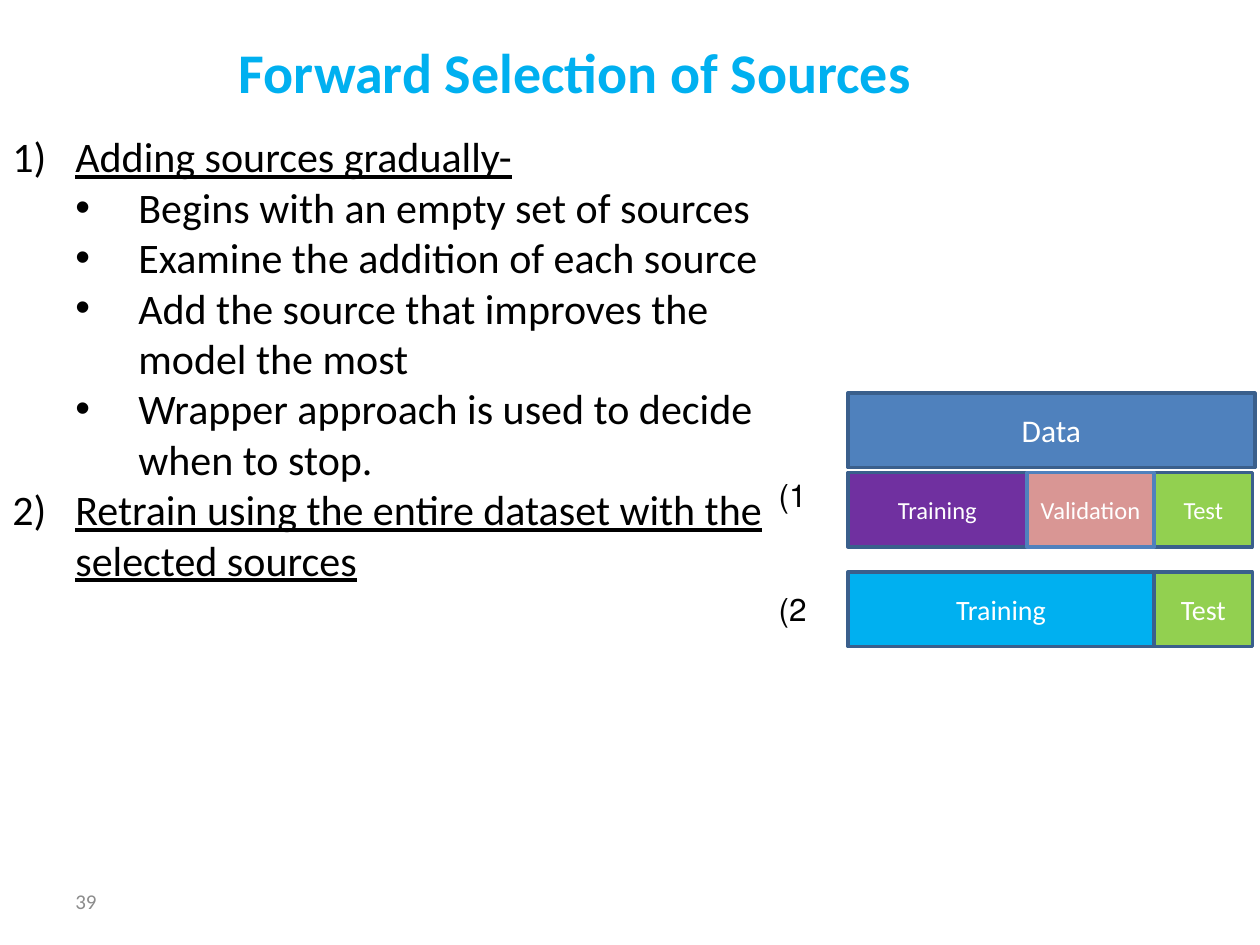
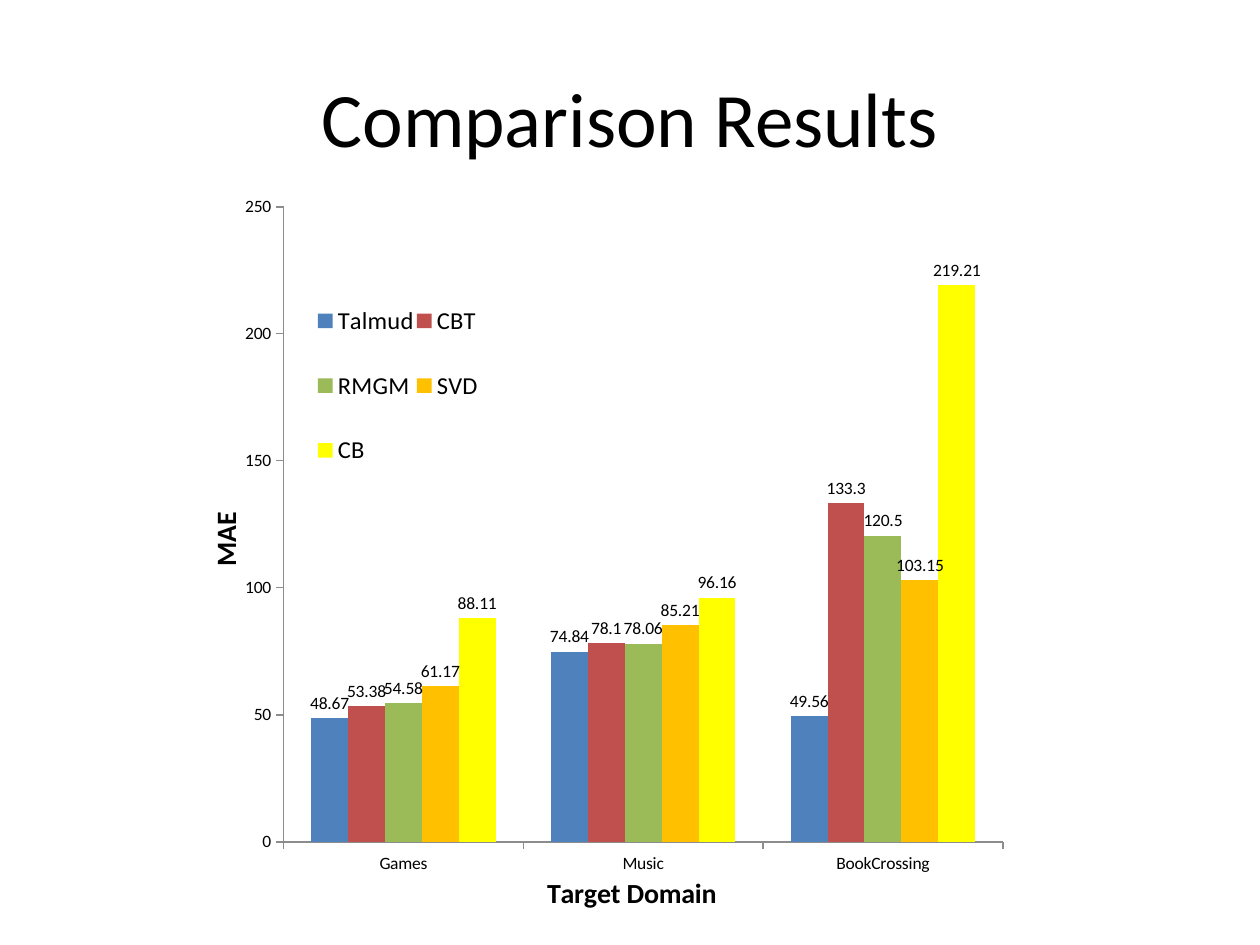
from lxml import etree
from pptx import Presentation
from pptx.chart.data import CategoryChartData
from pptx.dml.color import RGBColor
from pptx.enum.chart import XL_CHART_TYPE, XL_LABEL_POSITION, XL_LEGEND_POSITION, XL_TICK_MARK
from pptx.enum.shapes import MSO_SHAPE
from pptx.enum.text import MSO_ANCHOR, PP_ALIGN
from pptx.oxml.ns import qn
from pptx.util import Inches, Pt

COLUMNS = XL_CHART_TYPE.COLUMN_CLUSTERED
OUTSIDE_END = XL_LABEL_POSITION.OUTSIDE_END
LEGEND_LEFT = XL_LEGEND_POSITION.LEFT
TICK_OUT = XL_TICK_MARK.OUTSIDE
RECTANGLE = MSO_SHAPE.RECTANGLE
TOP, MIDDLE = MSO_ANCHOR.TOP, MSO_ANCHOR.MIDDLE
LEFT, CENTER, RIGHT = PP_ALIGN.LEFT, PP_ALIGN.CENTER, PP_ALIGN.RIGHT

FONT = "Calibri"
BLACK = RGBColor(0x00, 0x00, 0x00)
WHITE = RGBColor(0xFF, 0xFF, 0xFF)
GRAY = RGBColor(0x8C, 0x8C, 0x8C)
SKY = RGBColor(0x00, 0xB0, 0xF0)
BLUE = RGBColor(0x4F, 0x81, 0xBD)
NAVY = RGBColor(0x3A, 0x5F, 0x8C)
PURPLE = RGBColor(0x70, 0x30, 0xA0)
LIME = RGBColor(0x92, 0xD0, 0x50)
PINK = RGBColor(0xD9, 0x96, 0x94)
RED = RGBColor(0xC0, 0x50, 0x4D)
OLIVE = RGBColor(0x9B, 0xBB, 0x59)
AMBER = RGBColor(0xFF, 0xC0, 0x00)
YELLOW = RGBColor(0xFF, 0xFF, 0x00)

SPLIT_EDGES = (6.73, 8.15, 9.16, 9.94)
BAR_HEIGHT = 0.59
SELECTION_STEPS = (
    (0, "Adding sources gradually-"),
    (1, "Begins with an empty set of sources"),
    (1, "Examine the addition of each source"),
    (1, "Add the source that improves the model the most"),
    (1, "Wrapper approach is used to decide when to stop."),
    (0, "Retrain using the entire dataset with the selected sources"),
)
DOMAINS = ("Games", "Music", "BookCrossing")
METHODS = (
    ("Talmud", (48.67, 74.84, 49.56), BLUE),
    ("CBT", (53.38, 78.1, 133.3), RED),
    ("RMGM", (54.58, 78.06, 120.5), OLIVE),
    ("SVD", (61.17, 85.21, 103.15), AMBER),
    ("CB", (88.11, 96.16, 219.21), YELLOW),
)


def inches(box):
    return [Inches(length) for length in box]


def style_font(font, size, color, bold=False):
    font.name = FONT
    font.size = Pt(size)
    font.color.rgb = color
    font.bold = bold


def add_text(slide, box, lines, size, color, align=LEFT, anchor=MIDDLE, bold=False):
    frame = slide.shapes.add_textbox(*inches(box)).text_frame
    frame.word_wrap = True
    frame.vertical_anchor = anchor
    frame.text = "\n".join(lines)
    for paragraph in frame.paragraphs:
        paragraph.alignment = align
        style_font(paragraph.font, size, color, bold)
    return frame


def add_steps(slide, box):
    frame = slide.shapes.add_textbox(*inches(box)).text_frame
    frame.word_wrap = True
    frame.text = "\n".join(text for _, text in SELECTION_STEPS)
    for paragraph, (level, _) in zip(frame.paragraphs, SELECTION_STEPS):
        paragraph.level = level
        properties = paragraph._p.get_or_add_pPr()
        properties.set("marL", str(Inches(0.5 * (level + 1))))
        properties.set("indent", str(Inches(-0.5)))
        if level:
            etree.SubElement(properties, qn("a:buFont")).set("typeface", "Arial")
            etree.SubElement(properties, qn("a:buChar")).set("char", "•")
        else:
            etree.SubElement(properties, qn("a:buAutoNum")).set("type", "arabicParenR")
        style_font(paragraph.font, 24, BLACK)
        paragraph.font.underline = level == 0


def add_part(slide, label, left, right, top, size, fill, line=NAVY):
    part = slide.shapes.add_shape(RECTANGLE, *inches((left, top, right - left, BAR_HEIGHT)))
    part.shadow.inherit = False
    part.fill.solid()
    part.fill.fore_color.rgb = fill
    part.line.color.rgb = line
    part.line.width = Pt(2)
    frame = part.text_frame
    frame.margin_left = frame.margin_right = 0
    frame.vertical_anchor = MIDDLE
    frame.text = label
    frame.paragraphs[0].alignment = CENTER
    style_font(frame.paragraphs[0].font, size, WHITE)


def add_data_split(slide):
    start, validation, test, end = SPLIT_EDGES
    add_part(slide, "Data", start, end + 0.02, 3.12, 18, BLUE)
    add_part(slide, "Training", start, validation, 3.75, 14, PURPLE)
    add_part(slide, "Test", test, end, 3.75, 14, LIME)
    add_part(slide, "Validation", validation, test, 3.75, 14, PINK, BLUE)
    add_part(slide, "Training", start, test, 4.54, 16, SKY)
    add_part(slide, "Test", test, end, 4.54, 16, LIME)


def add_step_labels(slide, box):
    frame = add_text(slide, box, ("1)", "2)"), 18, BLACK, RIGHT)
    frame.paragraphs[1].space_before = Pt(43)
    for paragraph in frame.paragraphs:
        paragraph._p.get_or_add_pPr().set("rtl", "1")


def place(part, index, **shares):
    for old in part.findall(qn("c:layout")):
        part.remove(old)
    layout = etree.Element(qn("c:layout"))
    manual = etree.SubElement(layout, qn("c:manualLayout"))
    if part.tag == qn("c:plotArea"):
        etree.SubElement(manual, qn("c:layoutTarget")).set("val", "inner")
    for side in ("x", "y"):
        etree.SubElement(manual, qn(f"c:{side}Mode")).set("val", "edge")
    for side, share in shares.items():
        etree.SubElement(manual, qn(f"c:{side}")).set("val", str(share))
    part.insert(index, layout)


def style_axis(axis, title, x, y):
    axis.has_major_gridlines = False
    axis.major_tick_mark = TICK_OUT
    axis.format.line.color.rgb = GRAY
    axis.axis_title.text_frame.text = title
    style_font(axis.axis_title.text_frame.paragraphs[0].font, 16, BLACK, True)
    place(axis.axis_title._element, 1, x=x, y=y)


def add_error_chart(slide, box):
    data = CategoryChartData()
    data.categories = DOMAINS
    for name, errors, _ in METHODS:
        data.add_series(name, errors)
    chart = slide.shapes.add_chart(COLUMNS, *inches(box), data).chart
    chart.has_title = False
    style_font(chart.font, 10, BLACK)
    style_axis(chart.category_axis, "Target Domain", 0.41, 0.94)
    style_axis(chart.value_axis, "MAE", 0.02, 0.45)
    chart.value_axis.minimum_scale = 0
    chart.value_axis.maximum_scale = 250
    chart.value_axis.major_unit = 50

    plot = chart.plots[0]
    plot.gap_width = 150
    plot.overlap = 0
    plot.vary_by_categories = False
    for series, (_, _, color) in zip(plot.series, METHODS):
        series.format.fill.solid()
        series.format.fill.fore_color.rgb = color
        series.data_labels.show_value = True
        series.data_labels.position = OUTSIDE_END
    place(chart._chartSpace.chart.plotArea, 0, x=0.114, y=0.043, w=0.824, h=0.86)

    chart.has_legend = True
    chart.legend.position = LEGEND_LEFT
    chart.legend.include_in_layout = False
    style_font(chart.legend.font, 14, BLACK)
    place(chart.legend._element, 1, x=0.15, y=0.13, w=0.19, h=0.31)


def main():
    deck = Presentation()
    deck.slide_width, deck.slide_height = inches((10, 7.5))
    blank = deck.slide_layouts[6]

    selection = deck.slides.add_slide(blank)
    add_text(selection, (0.5, 6.95, 2.33, 0.4), ("39",), 12, GRAY)
    add_text(selection, (0.43, 0.13, 8.27, 0.87), ("Forward Selection of Sources",),
             32, SKY, CENTER, bold=True)
    add_steps(selection, (0, 0.99, 6.5, 5.88))
    add_data_split(selection)
    add_step_labels(selection, (5.67, 3.12, 0.83, 2.52))

    comparison = deck.slides.add_slide(blank)
    add_text(comparison, (0.5, 0.3, 9, 1.25), ("Comparison Results",), 44, BLACK, CENTER)
    add_error_chart(comparison, (1.46, 1.39, 6.93, 5.91))

    deck.save("out.pptx")


if __name__ == "__main__":
    main()
